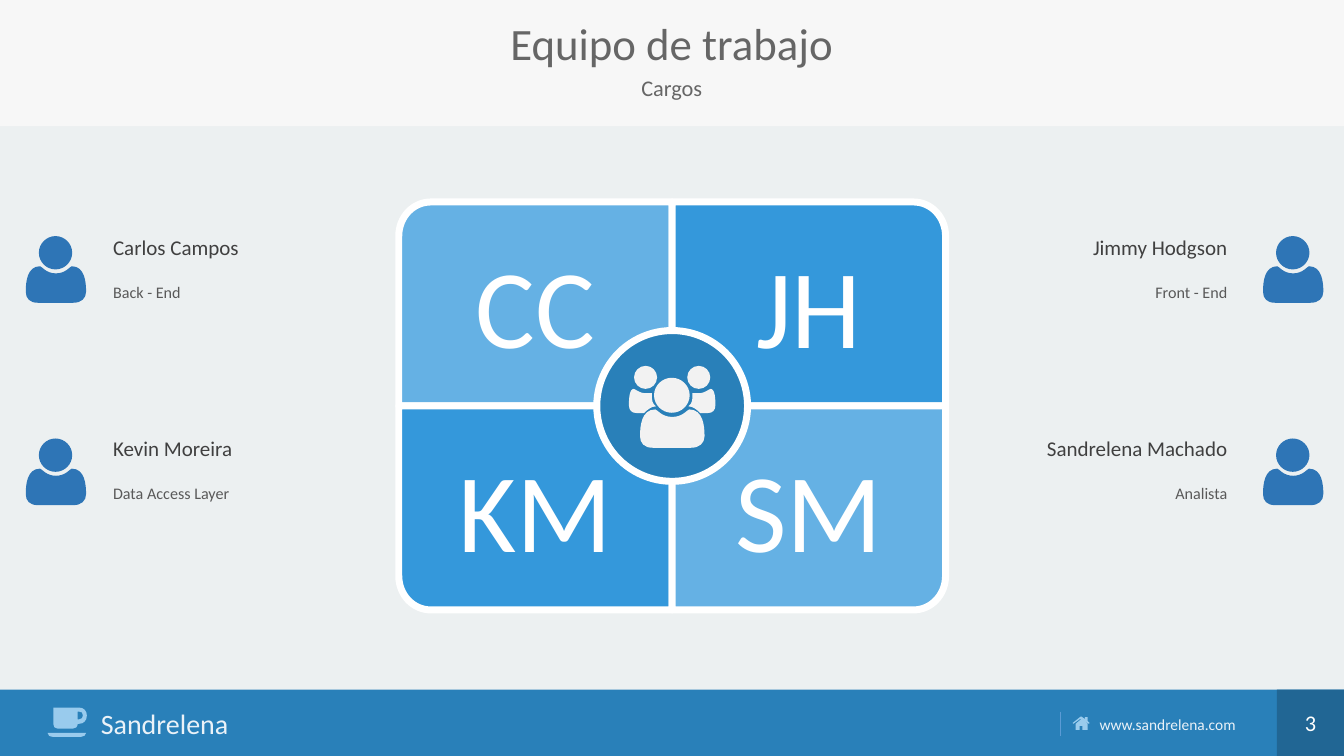
from pptx import Presentation
from pptx.dml.color import RGBColor
from pptx.enum.shapes import MSO_CONNECTOR, MSO_SHAPE
from pptx.enum.text import MSO_ANCHOR, PP_ALIGN
from pptx.oxml.ns import qn
from pptx.util import Cm, Pt
from lxml.etree import SubElement

WHITE = RGBColor(0xFF, 0xFF, 0xFF)
SOFT_WHITE = RGBColor(0xEA, 0xF2, 0xF8)
BACKGROUND = RGBColor(0xEC, 0xF0, 0xF1)
HEADER = RGBColor(0xF7, 0xF7, 0xF7)
ICON_WHITE = RGBColor(0xF2, 0xF2, 0xF2)
TITLE_GRAY = RGBColor(0x66, 0x66, 0x66)
NAME_GRAY = RGBColor(0x40, 0x40, 0x40)
ROLE_GRAY = RGBColor(0x59, 0x59, 0x59)
FOOTER_BLUE = RGBColor(0x29, 0x80, 0xB9)
NUMBER_BLUE = RGBColor(0x21, 0x66, 0x94)
DIVIDER_BLUE = RGBColor(0x5B, 0x9B, 0xD5)
LIGHT_BLUE = RGBColor(0x65, 0xB1, 0xE4)
BRIGHT_BLUE = RGBColor(0x34, 0x98, 0xDB)
PERSON_BLUE = RGBColor(0x2E, 0x75, 0xB6)
PALE_BLUE = RGBColor(0x99, 0xCB, 0xED)

LEFT, CENTER, RIGHT = PP_ALIGN.LEFT, PP_ALIGN.CENTER, PP_ALIGN.RIGHT
WIDTH, HEIGHT = 33.87, 19.05
MIDDLE_X, MIDDLE_Y = 16.94, 10.23
FOOTER_TOP, FOOTER_HEIGHT = 17.38, 1.67

PERSON = [
    [(1.2, 1.68), (0.3, 1.68), (0.1, 1.68, 0, 1.57, 0, 1.4),
     (0, 1.17, 0.03, 0.76, 0.36, 0.76), (0.4, 0.76, 0.51, 0.94, 0.76, 0.94),
     (1.01, 0.94, 1.12, 0.76, 1.16, 0.76), (1.49, 0.76, 1.52, 1.17, 1.52, 1.4),
     (1.52, 1.57, 1.4, 1.68, 1.2, 1.68)],
    [(0.75, 0.84), (0.52, 0.84, 0.33, 0.65, 0.33, 0.42), (0.33, 0.19, 0.52, 0, 0.75, 0),
     (0.98, 0, 1.17, 0.19, 1.17, 0.42), (1.17, 0.65, 0.98, 0.84, 0.75, 0.84)],
]
TEAMMATE = [
    [(-0.71, 1.19), (-0.89, 1.19), (-1.02, 1.19, -1.09, 1.12, -1.09, 0.99),
     (-1.09, 0.89, -1.09, 0.58, -0.97, 0.58), (-0.94, 0.58, -0.81, 0.69, -0.69, 0.69),
     (-0.51, 0.69), (-0.51, 0.74), (-0.51, 0.86, -0.51, 0.94, -0.41, 1.02),
     (-0.53, 1.02, -0.64, 1.12, -0.71, 1.19)],
    [(-0.67, 0.58), (-0.83, 0.58, -0.96, 0.45, -0.96, 0.29), (-0.96, 0.13, -0.83, 0, -0.67, 0),
     (-0.51, 0, -0.38, 0.13, -0.38, 0.29), (-0.38, 0.45, -0.51, 0.58, -0.67, 0.58)],
]
CUP = [
    [(0.97, 0.64), (0.97, 0.69, 0.91, 0.74, 0.84, 0.74), (0.15, 0.74),
     (0.05, 0.74, 0, 0.69, 0, 0.64)],
    [(0.79, 0.41), (0.76, 0.41), (0.76, 0.43), (0.76, 0.48, 0.71, 0.53, 0.64, 0.53),
     (0.25, 0.53), (0.18, 0.53, 0.15, 0.48, 0.15, 0.43), (0.15, 0), (0.79, 0),
     (0.91, 0, 0.99, 0.08, 0.99, 0.2), (0.99, 0.33, 0.91, 0.41, 0.79, 0.41)],
    [(0.79, 0.1), (0.76, 0.1), (0.76, 0.3), (0.79, 0.3),
     (0.86, 0.3, 0.89, 0.25, 0.89, 0.2), (0.89, 0.13, 0.86, 0.1, 0.79, 0.1)],
]
HOUSE = [
    [(0.41, 0.18), (0.2, 0.05), (0.02, 0.18), (0, 0.16), (0.2, 0), (0.23, 0),
     (0.31, 0.06), (0.31, 0.01), (0.38, 0.01), (0.38, 0.11), (0.43, 0.16)],
    [(0.38, 0.33), (0.25, 0.33), (0.25, 0.23), (0.18, 0.23), (0.18, 0.33),
     (0.08, 0.33), (0.08, 0.18), (0.22, 0.06), (0.38, 0.18)],
]
QUADRANT = [[(0, 0), (0, 5.14), (6.08, 5.14), (6.53, 5.14, 6.89, 4.76, 6.89, 4.28), (6.89, 0)]]

TEAM = []
for contours, offset, scale in [
    (TEAMMATE, (0, 0), (1, 1)),
    (PERSON, (-0.81, 0.3), (1.07, 1.05)),
    (TEAMMATE, (0, 0), (-1, 1)),
]:
    TEAM += [[tuple(value * scale[i % 2] + offset[i % 2] for i, value in enumerate(segment))
              for segment in contour] for contour in contours]

deck = Presentation()
deck.slide_width, deck.slide_height = Cm(WIDTH), Cm(HEIGHT)
page = deck.slides.add_slide(deck.slide_layouts[6])
page.background.fill.solid()
page.background.fill.fore_color.rgb = BACKGROUND


def draw_outline(contours, left, top, fill, scale_x=1, scale_y=1):
    builder, segments = None, []
    for contour in contours:
        placed = [[(Cm(left + x * scale_x), Cm(top + y * scale_y))
                   for x, y in zip(segment[::2], segment[1::2])] for segment in contour]
        ends = [points[-1] for points in placed]
        if builder is None:
            builder = page.shapes.build_freeform(*ends[0])
        else:
            builder.move_to(*ends[0])
        builder.add_line_segments(ends[1:], close=True)
        segments += placed[1:]
    shape = builder.convert_to_shape()
    straight_parts = list(shape._element.iter(qn("a:lnTo")))
    for part, points in zip(straight_parts, segments):
        if len(points) == 3:
            part.tag = qn("a:cubicBezTo")
            part.clear()
            for x, y in points:
                SubElement(part, qn("a:pt"), x=str(x - shape.left), y=str(y - shape.top))
    shape.shadow.inherit = False
    shape.fill.solid()
    shape.fill.fore_color.rgb = fill
    shape.line.fill.background()
    return shape


def add_text(text, left, top, width, height, size, color, align=LEFT,
             spacing=1.0, before=0, anchor=MSO_ANCHOR.TOP):
    box = page.shapes.add_textbox(Cm(left), Cm(top), Cm(width), Cm(height))
    frame = box.text_frame
    frame.word_wrap = True
    frame.vertical_anchor = anchor
    frame.margin_left = frame.margin_right = frame.margin_top = frame.margin_bottom = 0
    frame.text = text
    para = frame.paragraphs[0]
    para.alignment = align
    para.line_spacing = spacing
    para.space_before = Pt(before)
    font = para.runs[0].font
    font.name, font.size, font.color.rgb = "Calibri", Pt(size), color


for left, top, width, height, color in [
    (0, FOOTER_TOP, WIDTH, FOOTER_HEIGHT, FOOTER_BLUE),
    (32.18, FOOTER_TOP, 1.69, FOOTER_HEIGHT, NUMBER_BLUE),
    (0, 0, WIDTH, 3.18, HEADER),
]:
    band = page.shapes.add_shape(MSO_SHAPE.RECTANGLE, Cm(left), Cm(top), Cm(width), Cm(height))
    band.shadow.inherit = False
    band.fill.solid()
    band.fill.fore_color.rgb = color
    band.line.fill.background()

add_text("Sandrelena", 2.54, 17.81, 4.37, 0.86, 20, SOFT_WHITE)
draw_outline(CUP, 1.2, 17.83, PALE_BLUE)
add_text("www.sandrelena.com", 27.71, 18.01, 3.86, 0.48, 11, SOFT_WHITE)
draw_outline(HOUSE, 27.03, 18.06, PALE_BLUE)
divider = page.shapes.add_connector(
    MSO_CONNECTOR.STRAIGHT, Cm(26.73), Cm(17.93), Cm(26.73), Cm(18.54))
divider.line.color.rgb = DIVIDER_BLUE
divider.line.width = Pt(1)
SubElement(divider._element.spPr, qn("a:effectLst"))
add_text("3", 32.18, FOOTER_TOP, 1.69, FOOTER_HEIGHT, 16, WHITE, CENTER,
         anchor=MSO_ANCHOR.MIDDLE)

add_text("Equipo de trabajo", 1.27, 0.56, 31.32, 1.37, 32, TITLE_GRAY, CENTER, 0.9)
add_text("Cargos", 1.27, 1.95, 31.32, 0.69, 16, TITLE_GRAY, CENTER, 0.9, 10)

members = [
    ("Carlos Campos", "Back - End", "CC", -1, -1),
    ("Jimmy Hodgson", "Front - End", "JH", 1, -1),
    ("Kevin Moreira", "Data Access Layer", "KM", -1, 1),
    ("Sandrelena Machado", "Analista", "SM", 1, 1),
]
for name, role, initials, side, level in members:
    fill = LIGHT_BLUE if side == level else BRIGHT_BLUE
    quadrant = draw_outline(QUADRANT, MIDDLE_X, MIDDLE_Y, fill, side, level)
    quadrant.line.color.rgb = WHITE
    quadrant.line.width = Pt(5)

hub = page.shapes.add_shape(
    MSO_SHAPE.OVAL, Cm(MIDDLE_X - 1.9), Cm(MIDDLE_Y - 1.9), Cm(3.8), Cm(3.8))
hub.shadow.inherit = False
hub.fill.solid()
hub.fill.fore_color.rgb = FOOTER_BLUE
hub.line.color.rgb = WHITE
hub.line.width = Pt(5)

for name, role, initials, side, level in members:
    text_left, icon_left, align = (2.85, 0.65, LEFT) if side < 0 else (24.58, 31.83, RIGHT)
    name_top, role_height, icon_top, initials_top = (
        (5.97, 3.81, 5.95, 5.96) if level < 0 else (11.05, 4.34, 11.05, 11.11))
    add_text(name, text_left, name_top, 6.35, 0.71, 15, NAME_GRAY, align, 0.9, 10)
    add_text(role, text_left, name_top + 0.85, 6.35, role_height, 11.5, ROLE_GRAY, align, 1.6, 10)
    add_text(initials, MIDDLE_X + side * 3.45 - 3.35, initials_top, 6.7, 3.43, 80, WHITE, CENTER)
    draw_outline(PERSON, icon_left, icon_top, PERSON_BLUE)

draw_outline(TEAM, MIDDLE_X, 9.22, ICON_WHITE)

deck.save("out.pptx")
